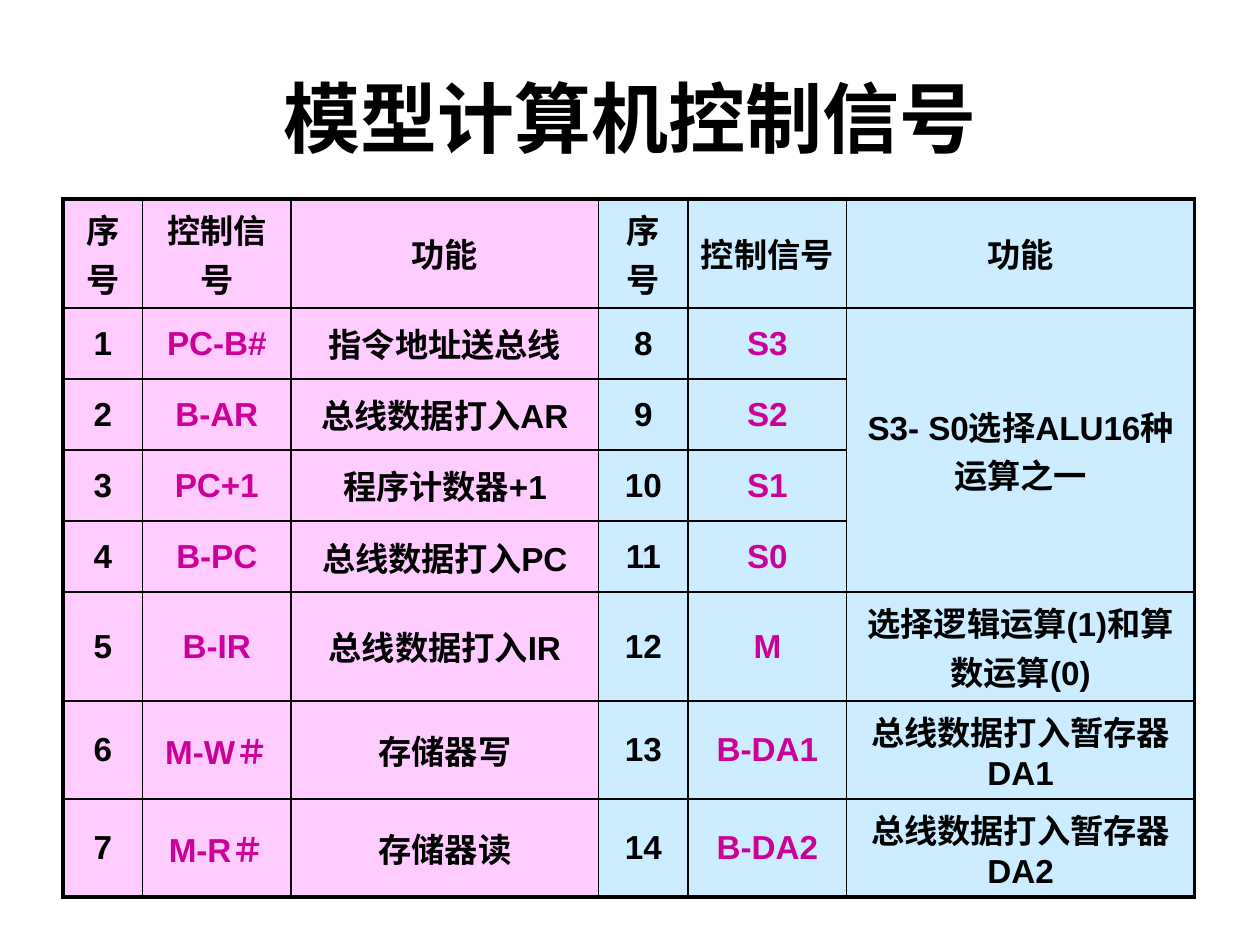
from dataclasses import dataclass

from lxml import etree
from pptx import Presentation
from pptx.dml.color import RGBColor
from pptx.enum.text import MSO_ANCHOR, PP_ALIGN
from pptx.oxml.ns import qn
from pptx.util import Pt

CENTER = PP_ALIGN.CENTER
MIDDLE = MSO_ANCHOR.MIDDLE
BLACK, MAGENTA, PINK, BLUE = "000000", "CC0099", "FFCCFF", "CCECFF"
THIN, THICK = 1, 2.25
COLUMN_WIDTHS = (45.4, 85, 175.7, 51.1, 90.7, 198.7)
ROW_HEIGHTS = (62.2, 40.6, 40.6, 40.6, 40.6, 62.2, 56, 56)
HEADINGS = ("序号", "控制信号", "功能")


@dataclass(frozen=True)
class Signal:
    name: str
    purpose: str


LEFT_SIGNALS = (
    Signal("PC-B#", "指令地址送总线"),
    Signal("B-AR", "总线数据打入AR"),
    Signal("PC+1", "程序计数器+1"),
    Signal("B-PC", "总线数据打入PC"),
    Signal("B-IR", "总线数据打入IR"),
    Signal("M-W＃", "存储器写"),
    Signal("M-R＃", "存储器读"),
)
RIGHT_SIGNALS = (
    Signal("S3", "S3- S0选择ALU16种运算之一"),
    Signal("S2", ""),
    Signal("S1", ""),
    Signal("S0", ""),
    Signal("M", "选择逻辑运算(1)和算数运算(0)"),
    Signal("B-DA1", "总线数据打入暂存器DA1"),
    Signal("B-DA2", "总线数据打入暂存器DA2"),
)


def color(value: str) -> RGBColor:
    return RGBColor.from_string(value)


def write(frame, text: str, size: float, ink: str) -> None:
    para = frame.paragraphs[0]
    para.alignment = CENTER
    span = para.add_run()
    span.text = text
    formats = {"name": "Arial", "size": Pt(size), "bold": True}
    for name, value in formats.items():
        setattr(span.font, name, value)
    span.font.color.rgb = color(ink)


def draw_border(cell, side: str, width: float) -> None:
    properties = cell._tc.get_or_add_tcPr()
    line = etree.SubElement(properties, qn(f"a:ln{side}"), w=str(Pt(width)))
    fill = etree.SubElement(line, qn("a:solidFill"))
    etree.SubElement(fill, qn("a:srgbClr"), val=BLACK)


def draw_cell(table, row: int, column: int, text: str) -> None:
    cell = table.cell(row, column)
    outer_sides = {
        "L": column == 0,
        "R": column == len(COLUMN_WIDTHS) - 1,
        "T": row == 0,
        "B": row == len(ROW_HEIGHTS) - 1,
    }
    for side, is_outer in outer_sides.items():
        draw_border(cell, side, THICK if is_outer else THIN)
    cell.fill.solid()
    cell.fill.fore_color.rgb = color(PINK if column < len(HEADINGS) else BLUE)
    cell.vertical_anchor = MIDDLE
    if text:
        is_name = row > 0 and column % len(HEADINGS) == 1
        write(cell.text_frame, text, 19, MAGENTA if is_name else BLACK)


def draw_title(page, text: str) -> None:
    box = page.shapes.add_textbox(Pt(36), Pt(21.6), Pt(648), Pt(90))
    for name, value in {"word_wrap": True, "vertical_anchor": MIDDLE}.items():
        setattr(box.text_frame, name, value)
    write(box.text_frame, text, 44, BLACK)


def draw_signals(page) -> None:
    table = page.shapes.add_table(
        len(ROW_HEIGHTS), len(COLUMN_WIDTHS), Pt(36), Pt(113.8),
        Pt(sum(COLUMN_WIDTHS)), Pt(sum(ROW_HEIGHTS)),
    ).table
    for name in ("first_row", "horz_banding"):
        setattr(table, name, False)
    for column, width in zip(table.columns, COLUMN_WIDTHS):
        column.width = Pt(width)
    for row, height in zip(table.rows, ROW_HEIGHTS):
        row.height = Pt(height)
    for half, signals in enumerate((LEFT_SIGNALS, RIGHT_SIGNALS)):
        first_number = 1 + half * len(LEFT_SIGNALS)
        lines = [HEADINGS] + [
            (str(number), signal.name, signal.purpose)
            for number, signal in enumerate(signals, first_number)
        ]
        for row, line in enumerate(lines):
            for column, text in enumerate(line, half * len(HEADINGS)):
                draw_cell(table, row, column, text)
    table.cell(1, 5).merge(table.cell(4, 5))


def main() -> None:
    deck = Presentation()
    deck.slide_width, deck.slide_height = Pt(720), Pt(540)
    page = deck.slides.add_slide(deck.slide_layouts[6])
    draw_title(page, "模型计算机控制信号")
    draw_signals(page)
    deck.save("out.pptx")


if __name__ == "__main__":
    main()
